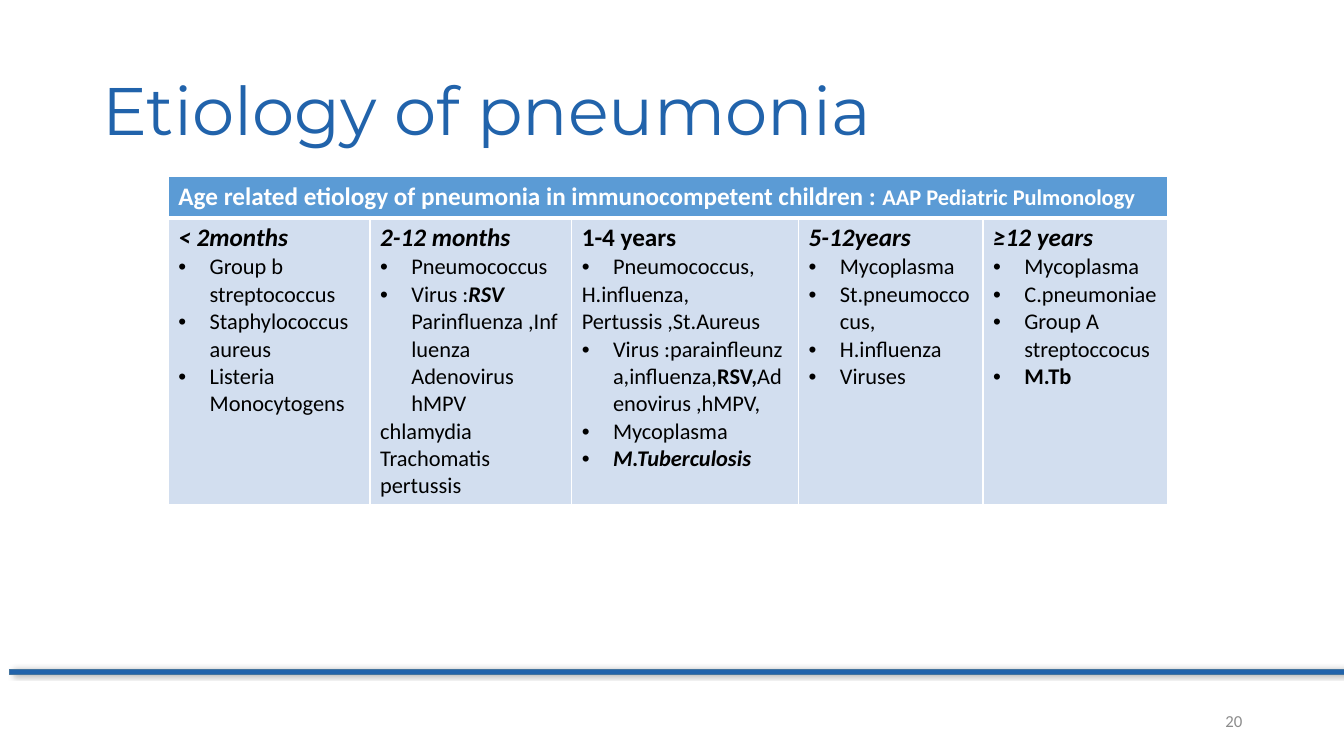
from dataclasses import dataclass
from lxml.etree import SubElement as Sub
from pptx import Presentation
from pptx.dml.color import RGBColor as RGB
from pptx.enum.shapes import MSO_SHAPE as Shape
from pptx.enum.text import MSO_ANCHOR as Anchor, MSO_AUTO_SIZE as Fit, PP_ALIGN as Align
from pptx.oxml.ns import qn
from pptx.util import Inches, Pt

# Content: a paragraph is (has bullet, runs); a run is (text, style: b bold, i italic)
TITLE = "Etiology of pneumonia"
PAGE = "20"
BANNER = [
    ("Age related etiology of pneumonia in immunocompetent children : ", 18),
    ("AAP Pediatric Pulmonology", 16),
]
AGES = [
    (("< 2months", "bi"), [
        (True, [("Group b streptococcus", "")]),
        (True, [("Staphylococcus aureus", "")]),
        (True, [("Listeria Monocytogens", "")]),
    ]),
    (("2-12 months", "bi"), [
        (True, [("Pneumococcus", "")]),
        (True, [("Virus :", ""), ("RSV ", "bi"),
                ("Parinfluenza ,Influenza Adenovirus hMPV", "")]),
        (False, [("chlamydia Trachomatis pertussis", "")]),
    ]),
    (("1-4 years", "b"), [
        (True, [("Pneumococcus,", "")]),
        (False, [("H.influenza, Pertussis ,St.Aureus", "")]),
        (True, [("Virus :parainfleunza,influenza,", ""), ("RSV,", "b"),
                ("Adenovirus ,hMPV,", "")]),
        (True, [("Mycoplasma", "")]),
        (True, [("M.Tuberculosis", "bi")]),
    ]),
    (("5-12years", "bi"), [
        (True, [("Mycoplasma", "")]),
        (True, [("St.pneumoccocus,", "")]),
        (True, [("H.influenza", "")]),
        (True, [("Viruses", "")]),
    ]),
    (("≥12 years", "bi"), [
        (True, [("Mycoplasma", "")]),
        (True, [("C.pneumoniae", "")]),
        (True, [("Group A streptoccocus", "")]),
        (True, [("M.Tb", "b")]),
    ]),
]
WIDTHS = [2, 2, 2.25, 1.83, 1.83]
HEIGHTS = [0.41, 2.8]
INDENT = 0.31


@dataclass(frozen=True)
class Theme:
    head: str = "Montserrat"
    body: str = "Calibri"
    blue: str = "2163AB"
    edge: str = "43739E"
    banner: str = "5B9BD5"
    pale: str = "D2DEEF"
    white: str = "FFFFFF"
    black: str = "000000"
    gray: str = "8C8C8C"
    title: int = 48
    label: int = 18
    text: int = 16
    page: int = 12


theme = Theme()


def style(font, face, size, color):
    font.name = face
    font.color.rgb = RGB.from_string(color)
    if size:
        font.size = Pt(size)


def paint(fill, color):
    fill.solid()
    fill.fore_color.rgb = RGB.from_string(color)


def bullet(para):
    props = para._p.get_or_add_pPr()
    props.set("marL", str(Inches(INDENT)))
    props.set("indent", str(-Inches(INDENT)))
    Sub(props, qn("a:buFont"), typeface="Arial")
    Sub(props, qn("a:buChar"), char="•")


def write(para, runs, size):
    style(para.font, theme.body, size, theme.black)
    for text, look in runs:
        run = para.add_run()
        run.text = text
        run.font.bold = "b" in look
        run.font.italic = "i" in look


def border(cell, base):
    props = cell._tc.get_or_add_tcPr()
    for side, width in (("L", 1), ("R", 1), ("T", 1), ("B", base)):
        line = Sub(props, qn(f"a:ln{side}"), w=str(Pt(width)))
        Sub(Sub(line, qn("a:solidFill")), qn("a:srgbClr"), val=theme.white)


def shade(shape):
    cast = Sub(Sub(shape._element.spPr, qn("a:effectLst")), qn("a:outerShdw"),
               blurRad=str(Pt(4)), dist=str(Pt(3)), dir="0", rotWithShape="0")
    tint = Sub(cast, qn("a:srgbClr"), val=theme.black)
    Sub(tint, qn("a:alpha"), val="40000")


deck = Presentation()
deck.slide_width, deck.slide_height = Inches(13.33), Inches(7.5)
slide = deck.slides.add_slide(deck.slide_layouts[5])

# Footer rule
rule = slide.shapes.add_shape(Shape.RECTANGLE, Inches(0.09), Inches(6.64),
                              Inches(13.24), Inches(0.05))
paint(rule.fill, theme.blue)
paint(rule.line.fill, theme.edge)
rule.line.width = Pt(0.5)
shade(rule)

# Title
title = slide.shapes.title
title.left, title.top = Inches(0.92), Inches(0.4)
title.width, title.height = Inches(11.5), Inches(1.45)
frame = title.text_frame
frame.text = TITLE
frame.auto_size = Fit.NONE
frame.vertical_anchor = Anchor.MIDDLE
para = frame.paragraphs[0]
para.alignment = Align.LEFT
para.line_spacing = 0.9
style(para.font, theme.head, theme.title, theme.blue)

# Table grid
table = slide.shapes.add_table(len(HEIGHTS), len(WIDTHS), Inches(1.67), Inches(1.75),
                               Inches(sum(WIDTHS)), Inches(sum(HEIGHTS))).table
for col, width in zip(table.columns, WIDTHS):
    col.width = Inches(width)
for row, height, base, color in zip(table.rows, HEIGHTS, (3, 1),
                                    (theme.banner, theme.pale)):
    row.height = Inches(height)
    for cell in row.cells:
        border(cell, base)
        paint(cell.fill, color)

# Banner row
banner = table.cell(0, 0)
banner.merge(table.cell(0, len(WIDTHS) - 1))
para = banner.text_frame.paragraphs[0]
style(para.font, theme.body, None, theme.white)
para.font.bold = True
for text, size in BANNER:
    run = para.add_run()
    run.text = text
    run.font.size = Pt(size)

# Age columns
for col, (label, items) in enumerate(AGES):
    frame = table.cell(1, col).text_frame
    write(frame.paragraphs[0], [label], theme.label)
    for dotted, runs in items:
        para = frame.add_paragraph()
        if dotted:
            bullet(para)
        write(para, runs, theme.text)

# Page number
page = slide.shapes.add_textbox(Inches(9.42), Inches(6.95), Inches(3), Inches(0.4))
frame = page.text_frame
frame.word_wrap = True
frame.vertical_anchor = Anchor.MIDDLE
frame.text = PAGE
para = frame.paragraphs[0]
para.alignment = Align.RIGHT
style(para.font, theme.body, theme.page, theme.gray)

deck.save("out.pptx")
